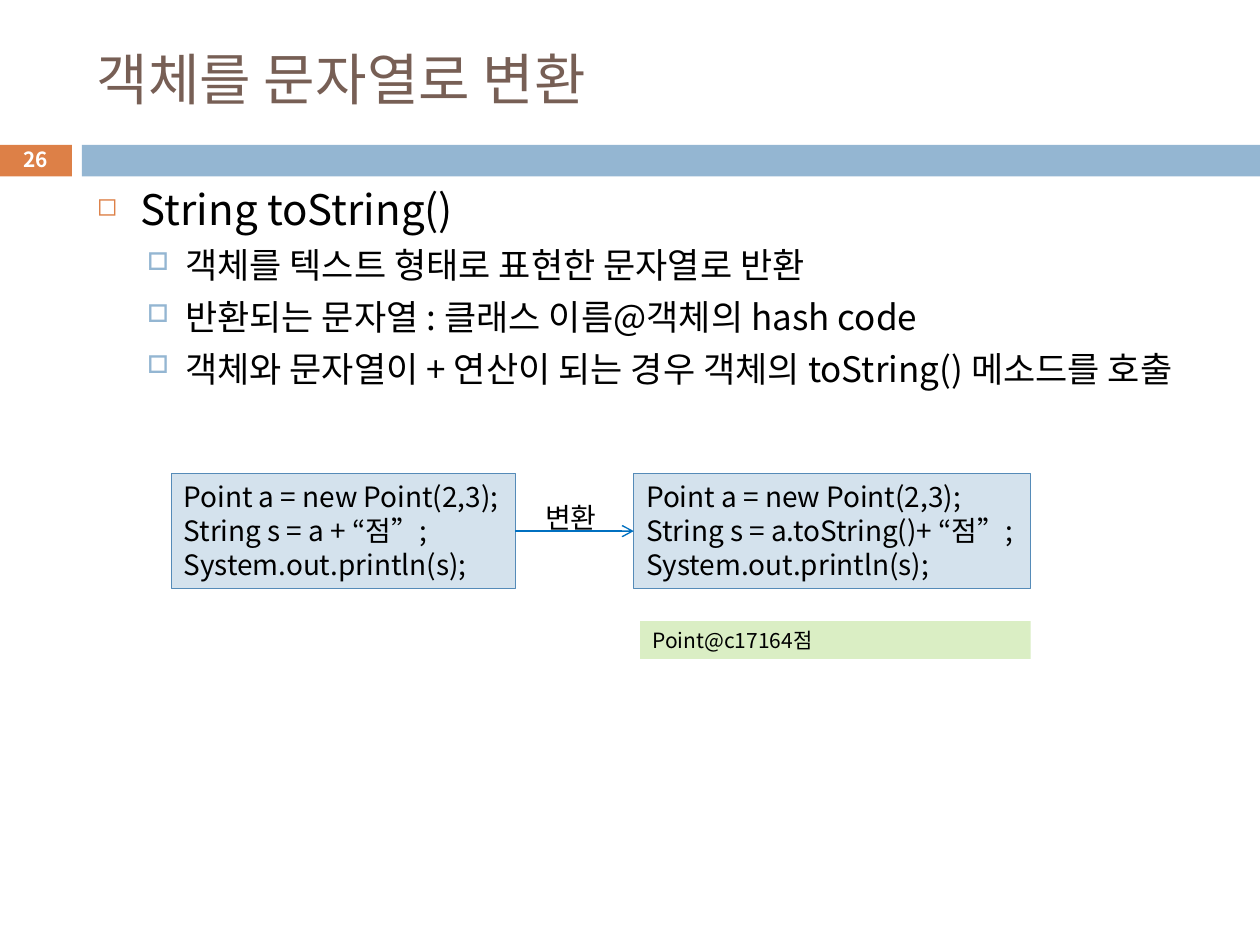
"""Builds the slide on converting objects to strings."""
from lxml import etree
from pptx import Presentation
from pptx.dml.color import RGBColor
from pptx.enum import shapes, text
from pptx.oxml.ns import qn
from pptx.util import Inches, Pt

FONT = "Noto Sans CJK KR"
COLORS = {
    "title": "775F55", "accent": "DD8047", "band": "94B6D2", "text": "000000",
    "code": "D4E2ED", "border": "558BB8", "arrow": "0070C0", "output": "DAEEC4",
    "white": "FFFFFF",
}
TITLE = "객체를 문자열로 변환"
PAGE_NUMBER = "26"
BULLETS = [
    (0, "String toString()"),
    (1, "객체를 텍스트 형태로 표현한 문자열로 반환"),
    (1, "반환되는 문자열 : 클래스 이름@객체의 hash code"),
    (1, "객체와 문자열이 + 연산이 되는 경우 객체의 toString() 메소드를 호출"),
]
LEVELS = [
    {"size": 24, "indent": 0.35, "hang": 0.35, "before": 7, "mark": "◻", "color": "accent", "scale": 60},
    {"size": 20, "indent": 0.7, "hang": 0.3, "before": 5.5, "mark": "□", "color": "band", "scale": 70},
]
CODE_TOP, CODE_HEIGHT = 3.76, 0.91
CODE_BOXES = [
    (1.36, 2.73, ["Point a = new Point(2,3);", "String s = a + “점”;", "System.out.println(s);"]),
    (5.03, 3.15, ["Point a = new Point(2,3);", "String s = a.toString()+ “점”;", "System.out.println(s);"]),
]
ARROW_LABEL = "변환"
OUTPUT = "Point@c17164점"


def rgb(name):
    return RGBColor.from_string(COLORS[name])


def add_box(page, place, fill, line=None):
    box = page.shapes.add_shape(shapes.MSO_SHAPE.RECTANGLE, *map(Inches, place))
    box.shadow.inherit = False
    box.fill.solid()
    box.fill.fore_color.rgb = rgb(fill)
    if line:
        box.line.color.rgb = rgb(line)
        box.line.width = Pt(0.75)
    else:
        box.line.fill.background()
    return box


def add_span(para, words, size, color="text", bold=False):
    span = para.add_run()
    span.text = words
    span.font.size = Pt(size)
    span.font.name = FONT
    span.font.bold = bold
    span.font.color.rgb = rgb(color)
    etree.SubElement(span.font._element, qn("a:ea"), typeface=FONT)


def write(box, lines, size, color="text", bold=False, wrap=True,
          anchor=text.MSO_ANCHOR.TOP, align=text.PP_ALIGN.LEFT):
    frame = box.text_frame
    frame.word_wrap = wrap
    frame.vertical_anchor = anchor
    for number, words in enumerate(lines):
        para = frame.add_paragraph() if number else frame.paragraphs[0]
        para.alignment = align
        add_span(para, words, size, color, bold)


def add_text(page, place, lines, size, **style):
    box = page.shapes.add_textbox(*map(Inches, place))
    write(box, lines, size, **style)


def add_bullets(page, place):
    frame = page.shapes.add_textbox(*map(Inches, place)).text_frame
    frame.word_wrap = True
    for number, (depth, words) in enumerate(BULLETS):
        level = LEVELS[depth]
        para = frame.add_paragraph() if number else frame.paragraphs[0]
        para.level = depth
        para.space_before = Pt(level["before"] if number else 0)
        props = para._p.get_or_add_pPr()
        props.set("marL", str(Inches(level["indent"])))
        props.set("indent", str(-Inches(level["hang"])))
        color = etree.SubElement(props, qn("a:buClr"))
        etree.SubElement(color, qn("a:srgbClr"), val=COLORS[level["color"]])
        etree.SubElement(props, qn("a:buSzPct"), val=str(level["scale"] * 1000))
        etree.SubElement(props, qn("a:buChar"), char=level["mark"])
        add_span(para, words, level["size"])


def add_arrow(page, start, end, y):
    arrow = page.shapes.add_connector(
        shapes.MSO_CONNECTOR.STRAIGHT, *map(Inches, (start, y, end, y)))
    arrow.line.color.rgb = rgb("arrow")
    arrow.line.width = Pt(0.79)
    etree.SubElement(arrow.line._get_or_add_ln(), qn("a:tailEnd"), type="arrow")
    etree.SubElement(arrow._element.spPr, qn("a:effectLst"))


def main():
    deck = Presentation()
    deck.slide_width, deck.slide_height = Inches(10), Inches(7.5)
    page = deck.slides.add_slide(deck.slide_layouts[6])
    middle = text.MSO_ANCHOR.MIDDLE

    add_box(page, (-0.01, 1.15, 0.58, 0.25), "accent")
    add_box(page, (0.65, 1.15, 9.35, 0.25), "band")
    add_text(page, (0.67, 0.25, 8.92, 0.74), [TITLE], 32, color="title", anchor=middle)
    add_bullets(page, (0.67, 1.41, 8.92, 2.42))

    for left, width, lines in CODE_BOXES:
        box = add_box(page, (left, CODE_TOP, width, CODE_HEIGHT), "code", "border")
        write(box, lines, 16, wrap=False)
    (left, width, _), (right, right_width, _) = CODE_BOXES
    add_arrow(page, left + width, right, CODE_TOP + CODE_HEIGHT / 2)
    add_text(page, (4.23, 3.92, 0.65, 0.37), [ARROW_LABEL], 16, wrap=False)

    output_width = 3.1
    output = add_box(page, (right + right_width - output_width, 4.93, output_width, 0.3), "output")
    write(output, [OUTPUT], 12)
    add_text(page, (-0.01, 1.13, 0.58, 0.27), [PAGE_NUMBER], 11.9, color="white",
             bold=True, anchor=middle, align=text.PP_ALIGN.CENTER)
    deck.save("out.pptx")


if __name__ == "__main__":
    main()
